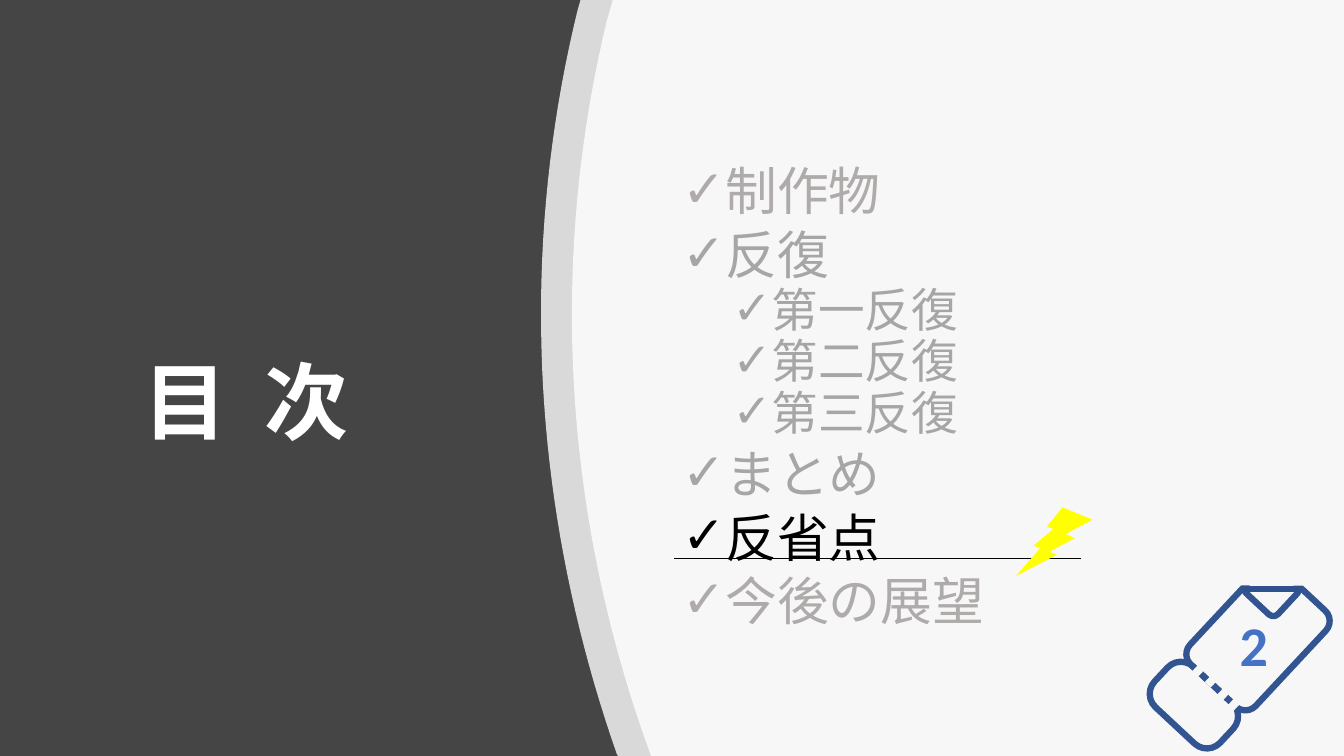
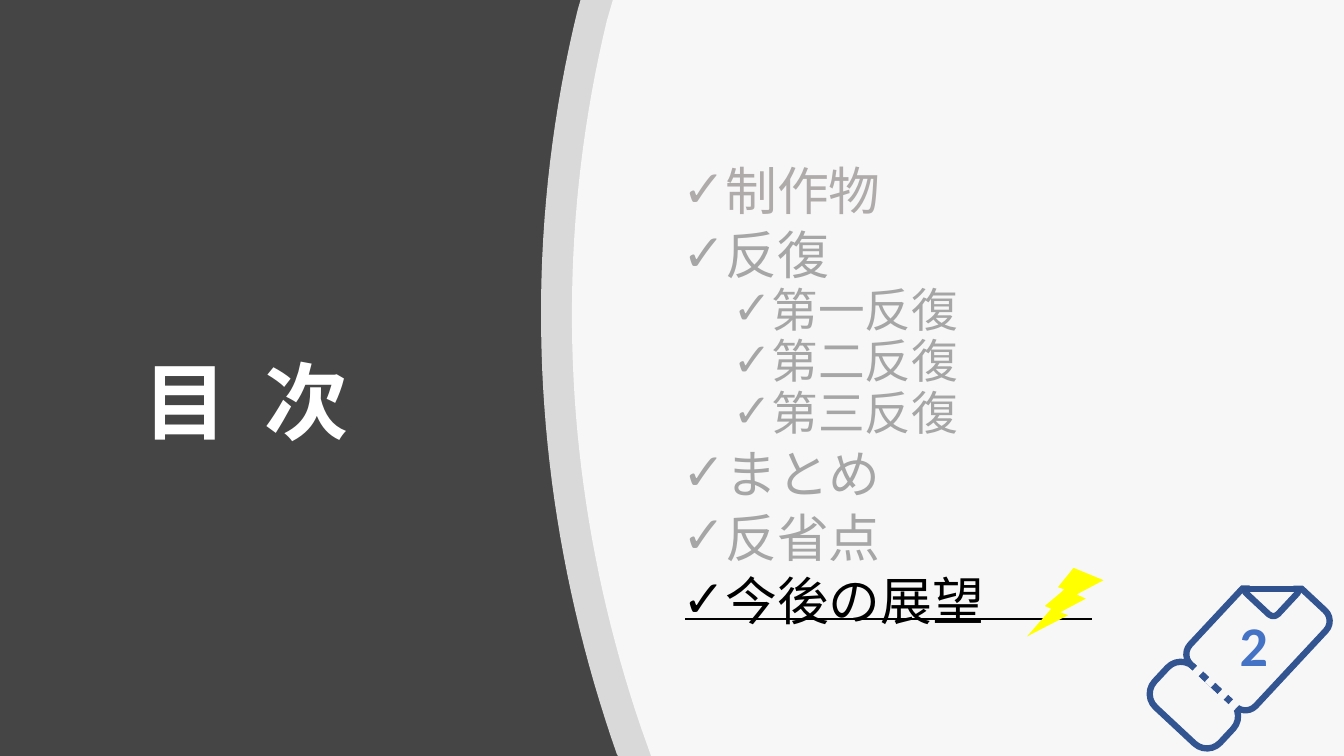
"""Build two agenda slides that highlight the current section."""
import pptx
import pptx.dml.color
import pptx.enum.shapes
import pptx.enum.text
import pptx.oxml.ns
import pptx.util
from lxml import etree

Pt = pptx.util.Pt
MSO_SHAPE = pptx.enum.shapes.MSO_SHAPE
MIDDLE = pptx.enum.text.MSO_ANCHOR.MIDDLE
ALIGN = pptx.enum.text.PP_ALIGN
qn = pptx.oxml.ns.qn

DARK, WHITE, BLACK, PAPER = "454545", "FFFFFF", "000000", "F7F7F7"
GREY, WARM_GREY = "A6A6A6", "AFABAB"
TICKET, FOLD, NUMBER, YELLOW = "325491", "2F528F", "4472C4", "FFFF00"
TILT = 313

AGENDA = [
    ("制作物", 0, WARM_GREY),
    ("反復", 0, GREY),
    ("第一反復", 1, GREY),
    ("第二反復", 1, GREY),
    ("第三反復", 1, GREY),
    ("まとめ", 0, GREY),
    ("反省点", 0, GREY),
    ("今後の展望", 0, WARM_GREY),
]
LEVELS = [(37, 18, 10), (33.3, 54, 5)]
CURRENT = [("反省点", 481.7, 398.9), ("今後の展望", 489.6, 442.1)]

PANELS = [
    ((414.7, 0), (441.4, 540),
     [(440.6, 538.6), (381.6, 370.1), (368.6, 187.2), (412.6, 7.2)]),
    ((437.8, 0), (465.1, 540),
     [(457.9, 519.8), (403.2, 359.3), (392.4, 185.8), (433.4, 15.1)]),
]
CURVE_STEPS = 40

TICKET_PARTS = [
    (833, 471.6, 39.6, 64.1, 0.328),
    (851.8, 423.4, 93.6, 64.1, 0.157),
    (893.5, 404.6, 29.5, 31.7, 0.157),
]
COVERS = [(885.6, 395.3, 51.8, 23, 0.2)] + [
    (left, top, 14.4, 5.8, TILT)
    for left, top in [(849.6, 475.2), (860.4, 481), (868.3, 491), (876.2, 498.2)]
]


def rgb(value):
    return pptx.dml.color.RGBColor.from_string(value)


def add_rule(shapes, left, right, y, colour, width):
    rule = shapes.add_connector(
        pptx.enum.shapes.MSO_CONNECTOR.STRAIGHT, Pt(left), Pt(y), Pt(right), Pt(y))
    rule.line.color.rgb = rgb(colour)
    rule.line.width = Pt(width)
    etree.SubElement(rule._element.spPr, qn("a:effectLst"))


deck = pptx.Presentation()
deck.slide_width, deck.slide_height = Pt(960), Pt(540)
backdrop = deck.slide_master.background.fill
backdrop.solid()
backdrop.fore_color.rgb = rgb(DARK)

for current, rule_left, rule_y in CURRENT:
    slide = deck.slides.add_slide(deck.slide_layouts[5])

    for top_start, bottom_end, (p0, p1, p2, p3) in PANELS:
        outline = [(960, 0), (960, 540), bottom_end]
        for step in range(CURVE_STEPS + 1):
            t = step / CURVE_STEPS
            outline.append(tuple(
                a * (1 - t) ** 3 + 3 * b * t * (1 - t) ** 2 + 3 * c * t ** 2 * (1 - t) + d * t ** 3
                for a, b, c, d in zip(p0, p1, p2, p3)))
        builder = slide.shapes.build_freeform(Pt(top_start[0]), Pt(top_start[1]))
        builder.add_line_segments([(Pt(x), Pt(y)) for x, y in outline], close=True)
        panel = builder.convert_to_shape()
        panel.shadow.inherit = False
        panel.line.fill.background()
        panel.fill.solid()
        panel.fill.fore_color.rgb = rgb(WHITE)
        tint = panel._element.spPr.find(".//" + qn("a:srgbClr"))
        etree.SubElement(tint, qn("a:alpha"), val="80000")

    agenda = slide.shapes.add_textbox(Pt(480.2), Pt(110.2), Pt(433.4), Pt(352.1)).text_frame
    agenda.word_wrap = True
    agenda.vertical_anchor = MIDDLE
    for index, (topic, level, colour) in enumerate(AGENDA):
        size, indent, space = LEVELS[level]
        entry = agenda.add_paragraph() if index else agenda.paragraphs[0]
        entry.text = topic
        entry.level = level
        settings = entry._p.get_or_add_pPr()
        settings.set("marL", str(Pt(indent)))
        settings.set("indent", str(Pt(-18)))
        etree.SubElement(settings, qn("a:buFont"), typeface="Arial")
        etree.SubElement(settings, qn("a:buChar"), char="✓")
        entry.line_spacing = 0.8
        if index:
            entry.space_before = Pt(space)
        entry.font.name = "Arial"
        entry.font.size = Pt(size)
        entry.font.color.rgb = rgb(BLACK if topic == current else colour)

    ticket = slide.shapes.add_group_shape().shapes
    for left, top, width, height, rounding in TICKET_PARTS:
        part = ticket.add_shape(
            MSO_SHAPE.ROUNDED_RECTANGLE, Pt(left), Pt(top), Pt(width), Pt(height))
        part.adjustments[0] = rounding
        part.rotation = TILT
        part.shadow.inherit = False
        part.fill.background()
        part.line.color.rgb = rgb(TICKET)
        part.line.width = Pt(4.5)
    add_rule(ticket, 887, 930.2, 420.5, FOLD, 4.5)
    for left, top, width, height, turn in COVERS:
        cover = ticket.add_shape(MSO_SHAPE.RECTANGLE, Pt(left), Pt(top), Pt(width), Pt(height))
        cover.rotation = turn
        cover.shadow.inherit = False
        cover.fill.solid()
        cover.fill.fore_color.rgb = rgb(PAPER)
        cover.line.fill.background()

    number_frame = slide.shapes.add_textbox(Pt(866.9), Pt(432.7), Pt(57.6), Pt(55.4)).text_frame
    number_frame.word_wrap = True
    number = number_frame.paragraphs[0]
    number.text = "2"
    number.alignment = ALIGN.CENTER
    number.font.name = "Calibri"
    number.font.size = Pt(40)
    number.font.bold = True
    number.font.color.rgb = rgb(NUMBER)

    add_rule(slide.shapes, rule_left, rule_left + 290.2, rule_y, BLACK, 1)
    bolt = slide.shapes.add_shape(
        MSO_SHAPE.LIGHTNING_BOLT, Pt(rule_left + 244), Pt(rule_y - 36.5), Pt(54.7), Pt(49))
    bolt._element.spPr.find(qn("a:xfrm")).set("flipH", "1")
    bolt.shadow.inherit = False
    bolt.fill.solid()
    bolt.fill.fore_color.rgb = rgb(YELLOW)
    bolt.line.fill.background()

    title = slide.shapes.title
    title.left, title.top, title.width, title.height = Pt(95), Pt(117.4), Pt(182.9), Pt(344.9)
    title.text_frame.auto_size = pptx.enum.text.MSO_AUTO_SIZE.NONE
    title.text_frame.vertical_anchor = MIDDLE
    heading = title.text_frame.paragraphs[0]
    heading.text = "目 次"
    heading.runs[0]._r.get_or_add_rPr().set("spc", "650")
    heading.alignment = ALIGN.LEFT
    heading.line_spacing = 0.9
    heading.font.name = "Arial"
    heading.font.size = Pt(60)
    heading.font.bold = True
    heading.font.color.rgb = rgb(WHITE)

deck.save("out.pptx")
